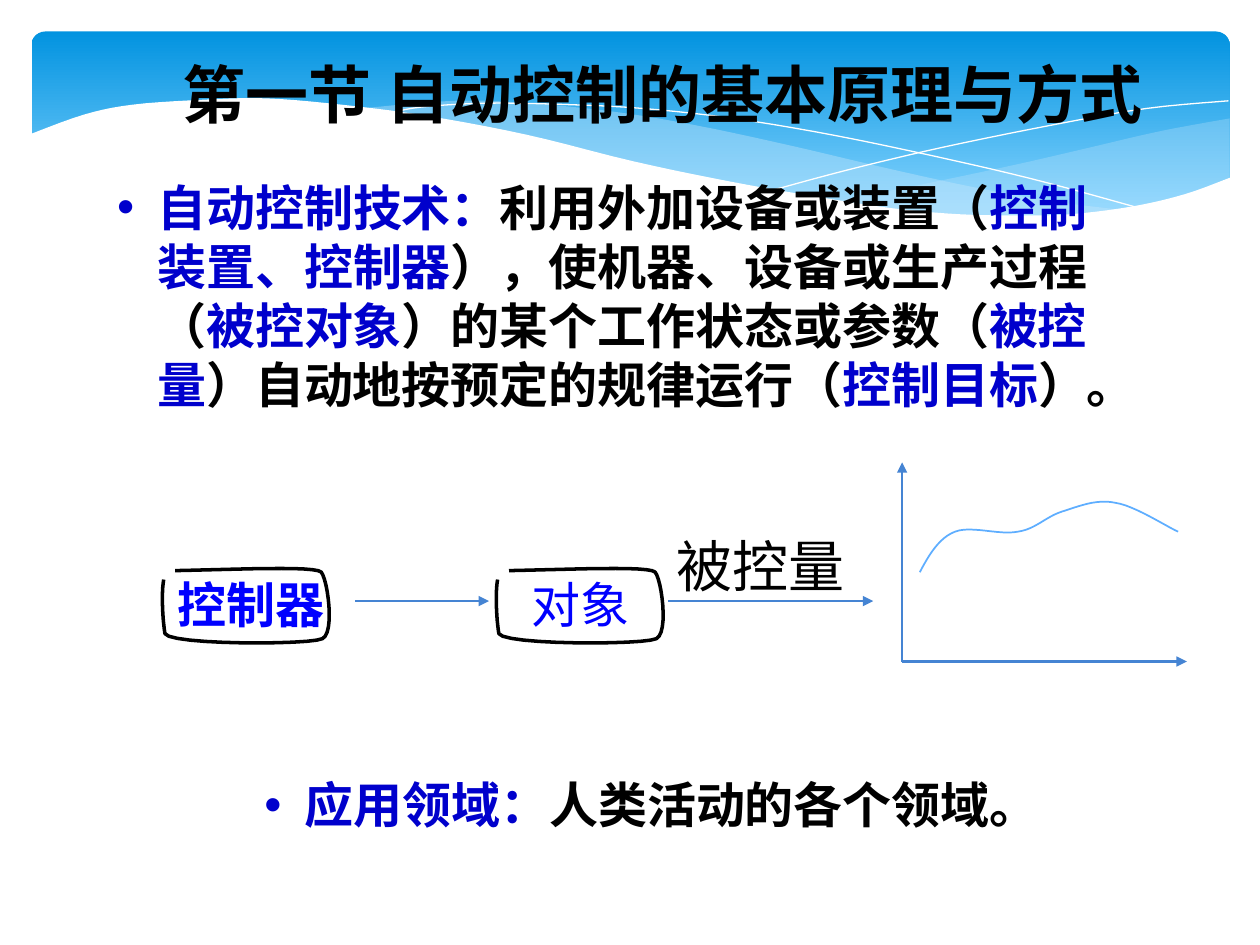
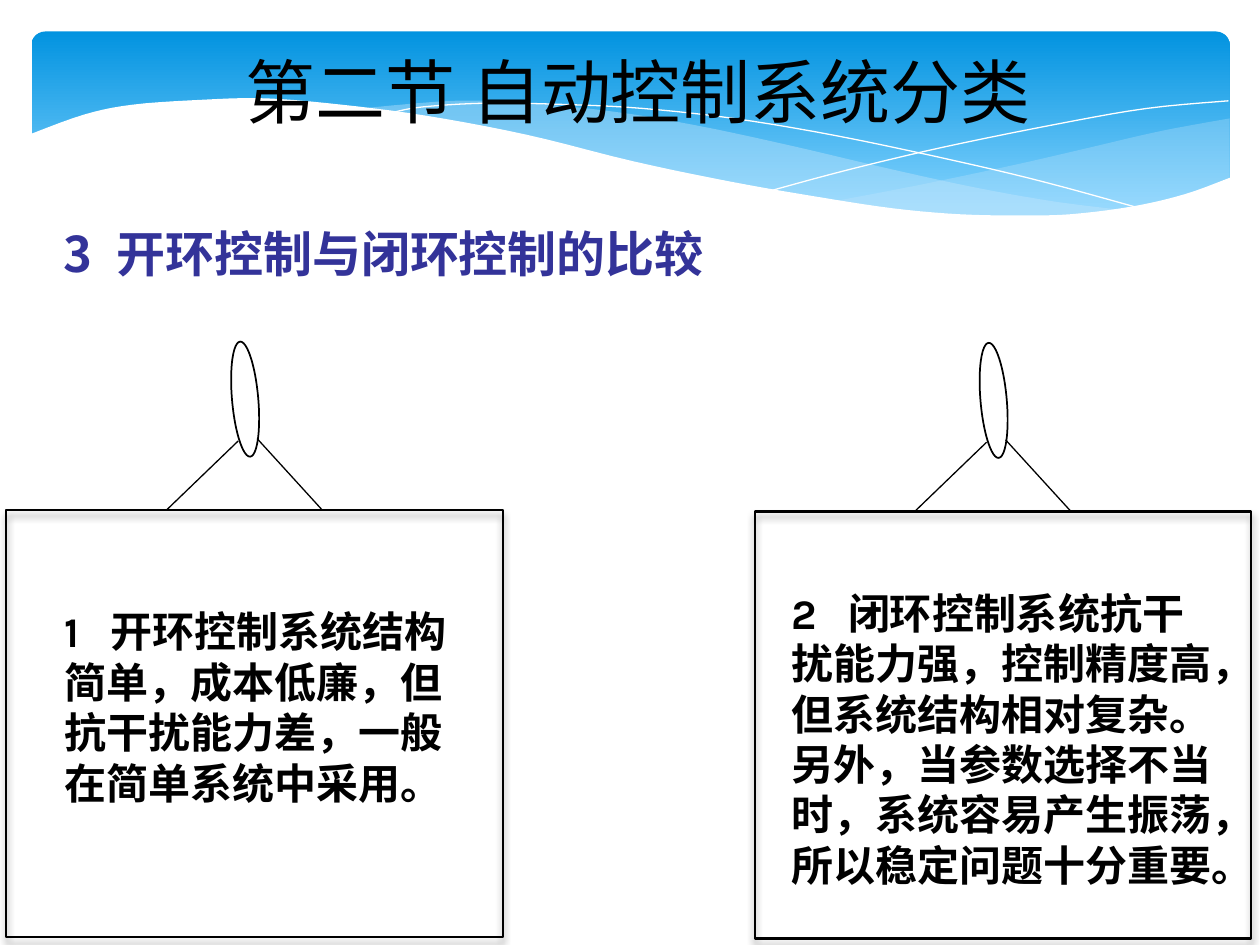
from lxml.etree import SubElement
from pptx import Presentation
from pptx.dml.color import RGBColor
from pptx.enum.shapes import MSO_CONNECTOR as Connector, MSO_SHAPE as Preset
from pptx.enum.text import MSO_ANCHOR as Anchor, MSO_AUTO_SIZE as AutoSize, PP_ALIGN as Align
from pptx.oxml.ns import qn
from pptx.util import Pt

CJK = "Noto Sans CJK SC"
LATIN = "Karla"
BLACK, WHITE = "000000", "FFFFFF"
TERM_BLUE, LABEL_BLUE, HEADING_BLUE = "0000CC", "0000FF", "333399"
ARROW_BLUE, CURVE_BLUE, WAVE_BLUE = "4584D3", "5EAEFF", "C6E7FC"

SHEET_EDGE = [(703, 101.5), (677, 111), (647, 118), (612, 122.4), (582.5, 123.1), (548, 122.4),
              (510, 119), (466, 112.3), (417, 103.7), (362, 92.2), (301, 77), (244, 66.2),
              (195, 59.8), (152, 56.2), (116, 57), (76, 59.8), (48, 65.5), (16.5, 77)]
RIGHT_WAVE_TOP = [(702.7, 67.7), (663, 75), (620, 85), (579.6, 94.3), (525, 105.8), (476, 115.2)]
RIGHT_WAVE_BOTTOM = [(476, 115.2), (527, 121), (578, 123.8), (622, 122.4), (663, 115.2),
                     (683, 109.4), (702.7, 101.5)]
MIDDLE_WAVE_TOP = [(643, 120.2), (602.6, 115.2), (558, 107.3), (508.3, 96.5), (453, 83.5),
                   (399.6, 72), (352, 64), (302.4, 59), (260, 57.6), (206, 62)]
MIDDLE_WAVE_BOTTOM = [(206, 62), (246, 67.7), (291, 76.3), (353.5, 90.7), (407.5, 103),
                      (456.5, 112.3), (500.4, 118.8), (538.6, 122.4), (573, 124.2),
                      (603.4, 123.8), (643, 120.2)]
FALLING_LINE = [(222.5, 64.8), (241, 61.2), (278.6, 59), (324, 59.8), (367, 62), (419, 67.7),
                (479, 77.8), (547, 92.2), (598, 104.4), (653, 119.5)]
RISING_LINE = [(441.4, 108.7), (484, 97.2), (538.6, 84.2), (602, 71.3), (655, 62), (702, 57.6)]
BLOCK_OUTLINE = [(7.2, 1.4), (41, 0.7), (87, -1.4), (90.7, 2.2), (94.3, 6.5), (98.6, 36.7),
                 (91.4, 40.3), (84.2, 43.9), (4.3, 43.9), (1.4, 37.4), (0, 28.8), (-0.7, 14.4),
                 (0.7, 6.5)]
RESPONSE = [(525.6, 327), (530.6, 317.5), (536.4, 307.4), (545.8, 303.8), (555, 300.2), (571, 306),
            (581.8, 303.8), (591.8, 302.4), (597.6, 295.2), (607, 292.3), (616.3, 289.4),
            (626.4, 285), (637.2, 287.3), (648, 288.7), (666.7, 301), (673.2, 303.8)]


def color(hex_string):
    return RGBColor.from_string(hex_string)


def apply_format(target, values):
    for name, value in values.items():
        setattr(target, name, value)


def bezier(points, steps=12):
    curve = [points[0]]
    for start in range(0, len(points) - 1, 3):
        controls = points[start:start + 4]
        for step in range(1, steps + 1):
            t = step / steps
            weights = ((1 - t) ** 3, 3 * t * (1 - t) ** 2, 3 * t * t * (1 - t), t ** 3)
            curve.append(tuple(sum(w * p[axis] for w, p in zip(weights, controls))
                               for axis in (0, 1)))
    return curve


def smooth_curve(points):
    padded = [points[0], *points, points[-1]]
    controls = [points[0]]
    for before, start, end, after in zip(padded, padded[1:], padded[2:], padded[3:]):
        controls += [
            tuple(s + (e - b) / 6 for b, s, e in zip(before, start, end)),
            tuple(e - (a - s) / 6 for s, e, a in zip(start, end, after)),
            end,
        ]
    return bezier(controls, 5)


def style_shape(shape, fill=None, line=None, width=1):
    shape.shadow.inherit = False
    if fill:
        shape.fill.solid()
        shape.fill.fore_color.rgb = color(fill)
    else:
        shape.fill.background()
    if line:
        shape.line.color.rgb = color(line)
        shape.line.width = Pt(width)
    else:
        shape.line.fill.background()
    return shape


def add_outline(slide, points, closed=False, alpha=None, **style):
    first, *rest = [(Pt(x), Pt(y)) for x, y in points]
    builder = slide.shapes.build_freeform(*first)
    builder.add_line_segments(rest, close=closed)
    shape = style_shape(builder.convert_to_shape(), **style)
    if alpha:
        fill_color = shape.element.spPr.find(qn("a:solidFill")).find(qn("a:srgbClr"))
        SubElement(fill_color, qn("a:alpha"), val=str(alpha * 1000))
    return shape


def add_line(slide, start, end, line, width, arrow=False):
    connector = slide.shapes.add_connector(Connector.STRAIGHT, *map(Pt, (*start, *end)))
    connector.line.color.rgb = color(line)
    connector.line.width = Pt(width)
    properties = connector.element.spPr
    if arrow:
        SubElement(properties.find(qn("a:ln")), qn("a:tailEnd"), type="triangle")
    SubElement(properties, qn("a:effectLst"))


def fill_text(shape, runs, size, font=CJK, bold=False, spacing=1.2, align=Align.LEFT,
              anchor=Anchor.TOP, wrap=True, bullet=False, tab=None):
    frame = shape.text_frame
    apply_format(frame, {"word_wrap": wrap, "auto_size": AutoSize.NONE, "vertical_anchor": anchor})
    paragraph = frame.paragraphs[0]
    properties = paragraph._p.get_or_add_pPr()
    if bullet:
        properties.set("marL", str(Pt(23)))
        properties.set("indent", str(Pt(-23)))
        SubElement(properties, qn("a:buFont"), typeface="Arial")
        SubElement(properties, qn("a:buChar"), char="•")
    if tab:
        tabs = SubElement(properties, qn("a:tabLst"))
        SubElement(tabs, qn("a:tab"), pos=str(Pt(tab)), algn="l")
    apply_format(paragraph, {"alignment": align, "line_spacing": Pt(size * spacing)})
    for text, run_color in runs:
        run = paragraph.add_run()
        run.text = text
        apply_format(run.font, {"name": font, "size": Pt(size), "bold": bold})
        run.font.color.rgb = color(run_color)
        SubElement(run._r.get_or_add_rPr(), qn("a:ea"), typeface=CJK)


def add_text(slide, box, runs, size, **style):
    fill_text(slide.shapes.add_textbox(*map(Pt, box)), runs, size, **style)


def set_title(slide, box, text, size, bold=False):
    title = slide.shapes.title
    apply_format(title, dict(zip(("left", "top", "width", "height"), map(Pt, box))))
    fill_text(title, [(text, BLACK)], size, bold=bold, spacing=1.3)


def add_wave_band(slide, layout):
    band = slide.shapes.add_shape(Preset.ROUNDED_RECTANGLE, *map(Pt, (18, 18, 684.7, 112.3)))
    band.adjustments[0] = 0.07
    style_shape(band)
    band.fill.gradient()
    band.fill.gradient_angle = 270
    for stop, position, shade in zip(band.fill.gradient_stops, (0, 0.9), ("0293E0", "83D3FE")):
        stop.position = position
        stop.color.rgb = color(shade)
    right_wave = smooth_curve(RIGHT_WAVE_TOP) + smooth_curve(RIGHT_WAVE_BOTTOM)
    middle_wave = smooth_curve(MIDDLE_WAVE_TOP) + smooth_curve(MIDDLE_WAVE_BOTTOM)
    sheet = smooth_curve(SHEET_EDGE) + [(16.5, 161), (703, 161)]
    parts = [
        band,
        add_outline(slide, right_wave, closed=True, alpha=29, fill=WAVE_BLUE),
        add_outline(slide, middle_wave, closed=True, alpha=40, fill=WAVE_BLUE),
        *(add_outline(slide, smooth_curve(points), line=WHITE, width=0)
          for points in (FALLING_LINE, RISING_LINE)),
        add_outline(slide, sheet, closed=True, fill=WHITE),
    ]
    for part in parts:
        layout.shapes.element.append(part.element)


def add_block(slide, left, top, text, text_left, text_width, bold=False):
    outline = [(left + x, top + y) for x, y in bezier(BLOCK_OUTLINE)]
    add_outline(slide, outline, line=BLACK, width=2)
    add_text(slide, (text_left, top, text_width, 41), [(text, LABEL_BLUE)], 28,
             font=LATIN, bold=bold)


def add_hanging_sign(slide, left, top):
    for start, end in (((91.4, 0), (132.5, -39.6)), ((143.3, -41), (180.7, 0))):
        add_line(slide, (left + start[0], top + start[1]), (left + end[0], top + end[1]),
                 BLACK, 0.75)
    ring = slide.shapes.add_shape(Preset.OVAL, *map(Pt, (left + 129, top - 96.5, 15, 66)))
    style_shape(ring, line=BLACK, width=1)
    ring.rotation = 355
    board = slide.shapes.add_shape(Preset.RECTANGLE, *map(Pt, (left, top, 283.7, 244)))
    style_shape(board, line=BLACK, width=1.25)
    effects = board.element.spPr.find(qn("a:effectLst"))
    shadow = SubElement(effects, qn("a:outerShdw"), blurRad=str(Pt(4)), dist=str(Pt(3)),
                        dir="5400000", rotWithShape="0")
    shade = SubElement(shadow, qn("a:srgbClr"), val=BLACK)
    SubElement(shade, qn("a:alpha"), val="40000")


def build_principle_slide(slide):
    set_title(slide, (97.2, 24.5, 578, 51), "第一节 自动控制的基本原理与方式", 36, bold=True)
    definition = [
        ("自动控制技术：", TERM_BLUE), ("利用外加设备或装置（", BLACK),
        ("控制装置、控制器", TERM_BLUE), ("），使机器、设备或生产过程（", BLACK),
        ("被控对象", TERM_BLUE), ("）的某个工作状态或参数（", BLACK),
        ("被控量", TERM_BLUE), ("）自动地按预定的规律运行（", BLACK),
        ("控制目标", TERM_BLUE), ("）。", BLACK),
    ]
    add_text(slide, (59.8, 98, 572.4, 143.3), definition, 28, bold=True, bullet=True)
    axis_origin = (515.5, 378)
    for start, end in (((203, 343.5), (279.4, 343.5)), ((381.6, 343.5), (499, 343.5)),
                       (axis_origin, (678.2, 378)), (axis_origin, (515.5, 264.2))):
        add_line(slide, start, end, ARROW_BLUE, 1.5, arrow=True)
    add_text(slide, (383.8, 293, 101.5, 57), [("被控量", BLACK)], 32, font="Times New Roman",
             spacing=1.3, align=Align.CENTER, anchor=Anchor.MIDDLE, wrap=False)
    add_outline(slide, bezier(RESPONSE), line=CURVE_BLUE, width=1)
    add_block(slide, 283.7, 324.7, "对象", 296.6, 82.8)
    add_block(slide, 92.9, 324.7, "控制器", 94.3, 101.5, bold=True)
    add_text(slide, (144, 439.2, 452, 41), [("应用领域：", TERM_BLUE), ("人类活动的各个领域。", BLACK)],
             28, bold=True, bullet=True)


def build_comparison_slide(slide):
    set_title(slide, (133.2, 20.2, 532.8, 55.4), "第二节 自动控制系统分类", 40)
    add_text(slide, (29.5, 112.3, 398.2, 52.6), [("3\t开环控制与闭环控制的比较", HEADING_BLUE)],
             28, bold=True, anchor=Anchor.BOTTOM, tab=30)
    open_loop = "1\t开环控制系统结构简单，成本低廉，但抗干扰能力差，一般在简单系统中采用。"
    closed_loop = ("2\t闭环控制系统抗干扰能力强，控制精度高，但系统结构相对复杂。"
                   "另外，当参数选择不当时，系统容易产生振荡，所以稳定问题十分重要。")
    signs = [
        ((3.6, 291.6), open_loop, (29.5, 342.7, 236.2, 123.8), 26.5),
        ((431.3, 292.3), closed_loop, (445, 332, 260, 181.4), 32.5),
    ]
    for corner, text, box, tab in signs:
        add_hanging_sign(slide, *corner)
        add_text(slide, box, [(text, BLACK)], 24, font=LATIN, bold=True, tab=tab)


def main():
    presentation = Presentation()
    apply_format(presentation, {"slide_width": Pt(720), "slide_height": Pt(540)})
    layout = presentation.slide_layouts[5]
    principle, comparison = (presentation.slides.add_slide(layout) for _ in range(2))
    add_wave_band(principle, layout)
    build_principle_slide(principle)
    build_comparison_slide(comparison)
    presentation.save("out.pptx")


if __name__ == "__main__":
    main()
